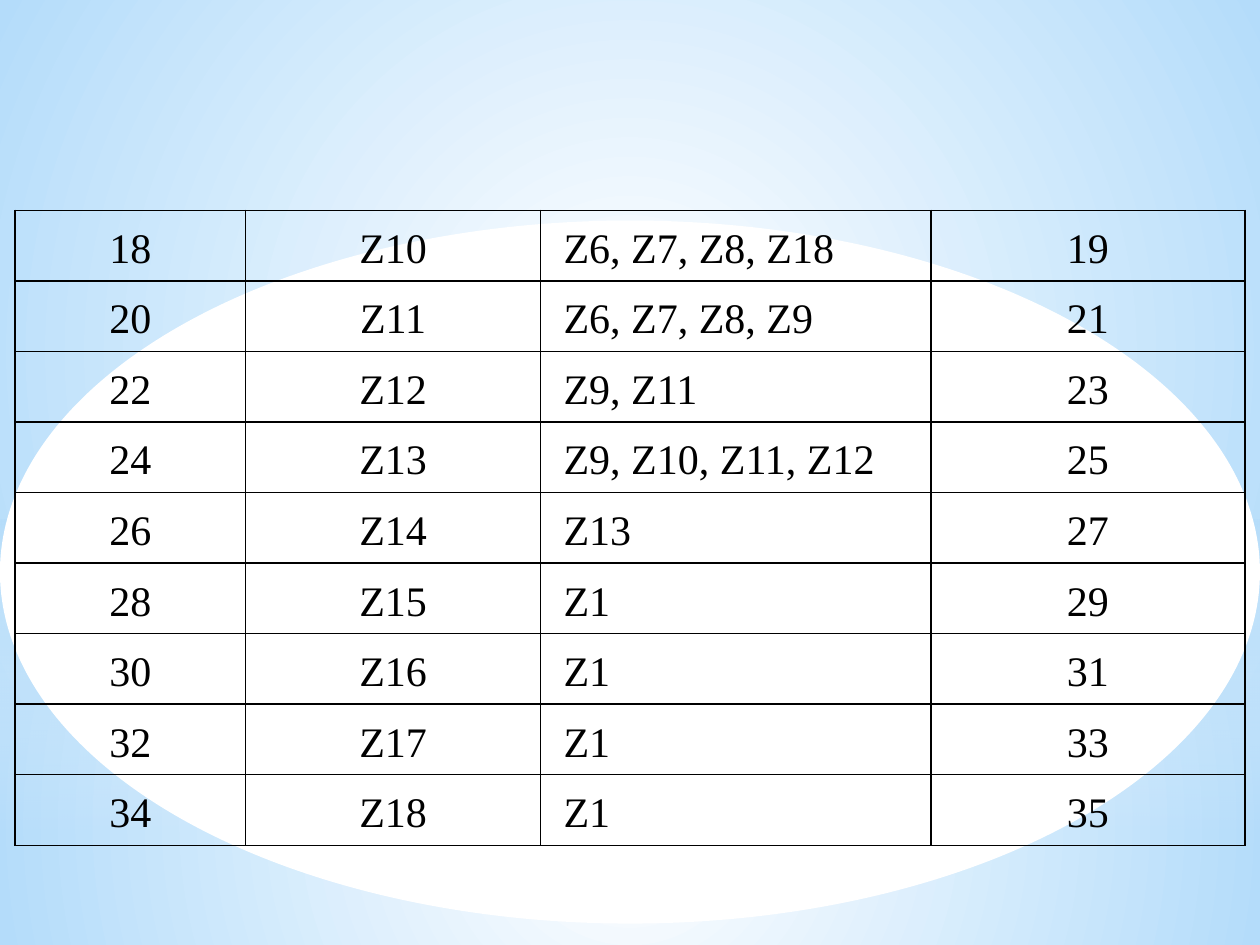
import pptx
import pptx.dml.color
import pptx.enum.shapes
import pptx.enum.text
import pptx.oxml
import pptx.oxml.ns
import pptx.util
from lxml import etree

Pt = pptx.util.Pt
RGBColor = pptx.dml.color.RGBColor
SHAPE = pptx.enum.shapes.MSO_SHAPE
ALIGN = pptx.enum.text.PP_ALIGN
qn = pptx.oxml.ns.qn

BLACK = RGBColor(0x00, 0x00, 0x00)
WHITE = RGBColor(0xFF, 0xFF, 0xFF)
PALE_BLUE = RGBColor(0xB4, 0xDC, 0xFA)
SKY_BLUE = RGBColor(0x9C, 0xD4, 0xFF)
DEEP_BLUE = RGBColor(0x5B, 0xB9, 0xFF)

FONT = "Times New Roman"
WIDTH, HEIGHT = 720, 540
HORIZON = 401.76
COL_WIDTHS = (131.76, 168.48, 223.2, 179.28)
ROW_HEIGHT = 40.32
FIRST_NUMBER, FIRST_TASK = 18, 10
PREDECESSORS = (
    "Z6, Z7, Z8, Z18",
    "Z6, Z7, Z8, Z9",
    "Z9, Z11",
    "Z9, Z10, Z11, Z12",
    "Z13",
    "Z1",
    "Z1",
    "Z1",
    "Z1",
)


def set_gradient(fill, root, colors, focus=None, alphas=()):
    """Fill with two colours, radially around focus or else downwards."""
    fill.gradient()
    fill.gradient_angle = 270
    for stop, color, position in zip(fill.gradient_stops, colors, (0, 1)):
        stop.color.rgb = color
        stop.position = position
    grad = next(root.iter(qn("a:gradFill")))
    for clr, alpha in zip(grad.iter(qn("a:srgbClr")), alphas):
        etree.SubElement(clr, qn("a:alpha"), val=str(alpha * 1000))
    if focus:
        radial = etree.Element(qn("a:path"), path="circle")
        sides = {side: str(value * 1000) for side, value in zip("ltrb", focus)}
        etree.SubElement(radial, qn("a:fillToRect"), **sides)
        grad.replace(grad.find(qn("a:lin")), radial)


def add_backdrop(s, kind, top, height):
    """Add a full-width shape without line or shadow."""
    sp = s.shapes.add_shape(kind, Pt(0), Pt(top), Pt(WIDTH), Pt(height))
    sp.shadow.inherit = False
    sp.line.fill.background()
    return sp


def add_glow(s, top, height):
    """Add a band that is white in the middle and pale blue outside."""
    sp = add_backdrop(s, SHAPE.RECTANGLE, top, height)
    set_gradient(sp.fill, sp._element, (WHITE, PALE_BLUE), (50, 50, 50, 50))


def set_borders(cell):
    """Draw a black line on each side of the cell."""
    tc_pr = cell._tc.get_or_add_tcPr()
    for side in ("lnL", "lnR", "lnT", "lnB"):
        ln = etree.SubElement(tc_pr, qn("a:" + side), w=str(Pt(0.96)))
        solid = etree.SubElement(ln, qn("a:solidFill"))
        etree.SubElement(solid, qn("a:srgbClr"), val=str(BLACK))


def fill_cell(cell, text, align):
    """Write one formatted run into a bordered, unfilled cell."""
    set_borders(cell)
    cell.fill.background()
    cell.vertical_anchor = pptx.enum.text.MSO_ANCHOR.MIDDLE
    if align == ALIGN.JUSTIFY:
        cell.margin_left = Pt(13.2)
    p = cell.text_frame.paragraphs[0]
    p.alignment = align
    p.line_spacing = 1.15
    r = p.add_run()
    r.text = text
    r.font.name = FONT
    r.font.size = Pt(24)
    r.font.color.rgb = BLACK


def add_task_table(s):
    """Add the table of tasks and their predecessors."""
    count = len(PREDECESSORS)
    frame = s.shapes.add_table(count, len(COL_WIDTHS), Pt(8.64), Pt(120.24),
                               Pt(sum(COL_WIDTHS)), Pt(ROW_HEIGHT * count))
    table = frame.table
    table.first_row = False
    table.horz_banding = False
    for column, width in zip(table.columns, COL_WIDTHS):
        column.width = Pt(width)
    aligns = (ALIGN.CENTER, ALIGN.CENTER, ALIGN.JUSTIFY, ALIGN.CENTER)
    for i, (row, needed) in enumerate(zip(table.rows, PREDECESSORS)):
        row.height = Pt(ROW_HEIGHT)
        number = FIRST_NUMBER + 2 * i
        texts = (str(number), f"Z{FIRST_TASK + i}", needed, str(number + 1))
        for cell, text, align in zip(row.cells, texts, aligns):
            fill_cell(cell, text, align)


def main():
    """Build the slide and save it."""
    prs = pptx.Presentation()
    prs.slide_width, prs.slide_height = Pt(WIDTH), Pt(HEIGHT)
    s = prs.slides.add_slide(prs.slide_layouts[6])
    set_gradient(s.background.fill, s._element, (SKY_BLUE, DEEP_BLUE), (50, 10, 50, 90))
    add_glow(s, HORIZON, HEIGHT - HORIZON)
    add_glow(s, 0, HORIZON)
    haze = add_backdrop(s, SHAPE.RECTANGLE, 296.64, 180)
    set_gradient(haze.fill, haze._element, (PALE_BLUE, WHITE), alphas=(60, 0))
    oval = add_backdrop(s, SHAPE.OVAL, 126, HORIZON)
    oval.fill.solid()
    oval.fill.fore_color.rgb = WHITE
    add_task_table(s)
    prs.save("out.pptx")


if __name__ == "__main__":
    main()
